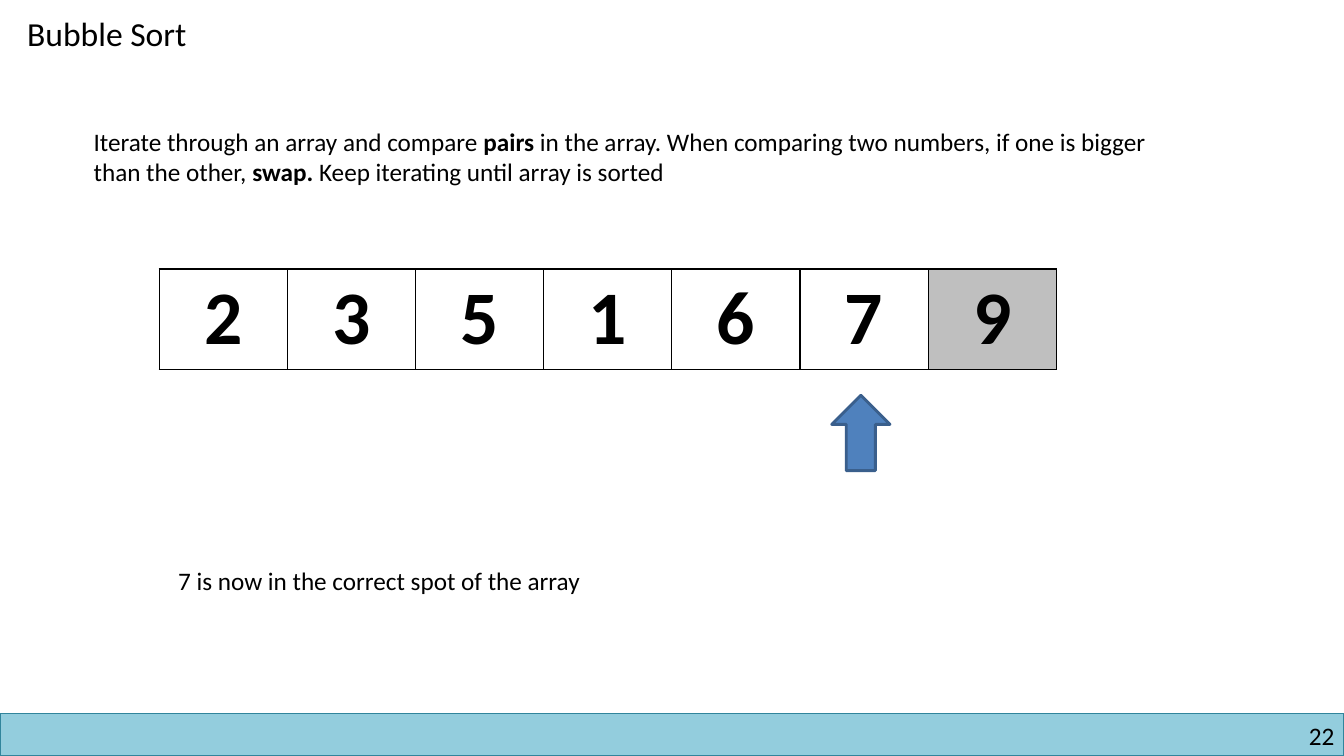
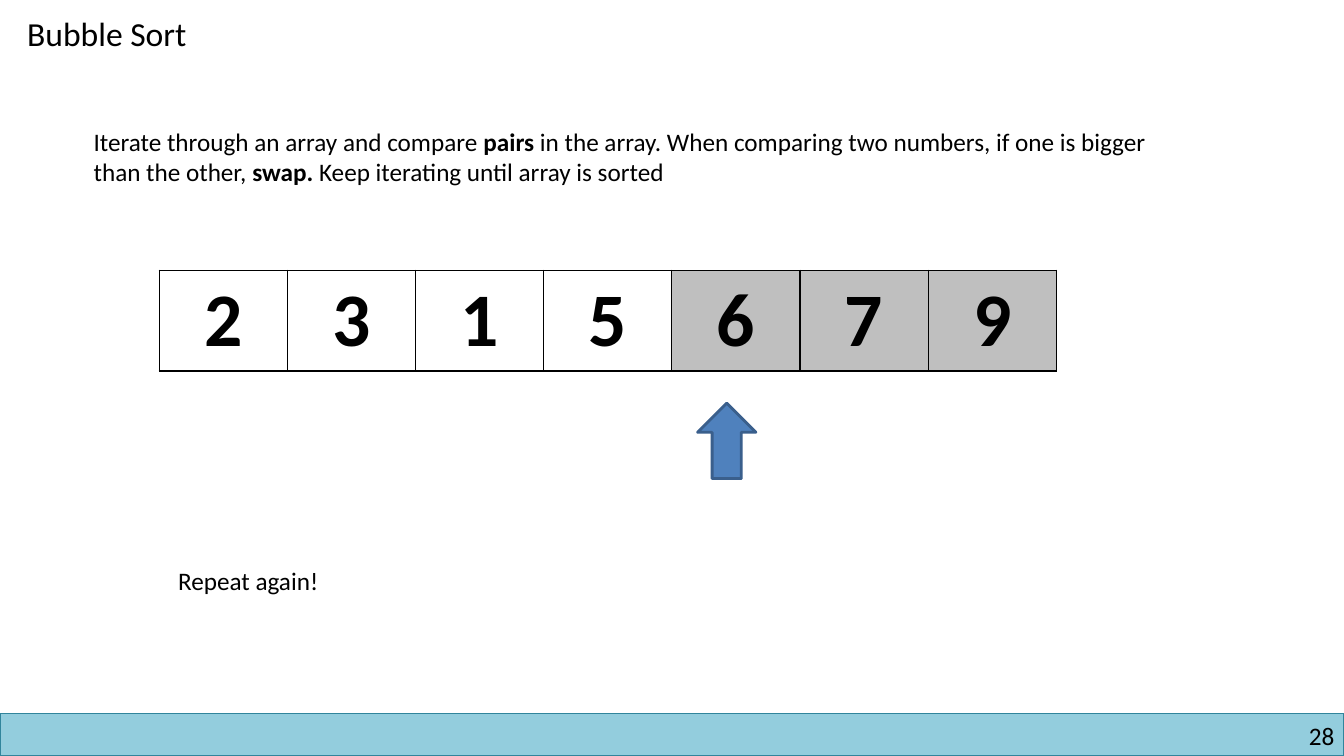
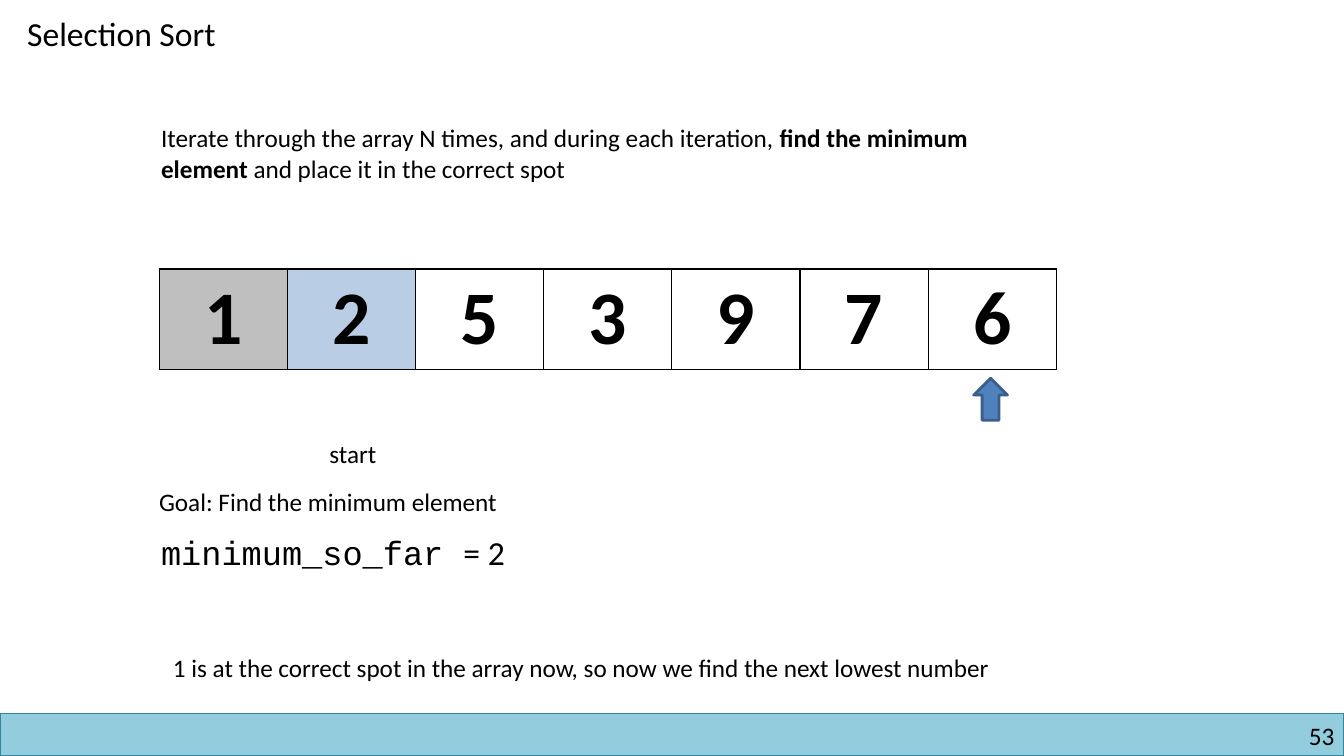
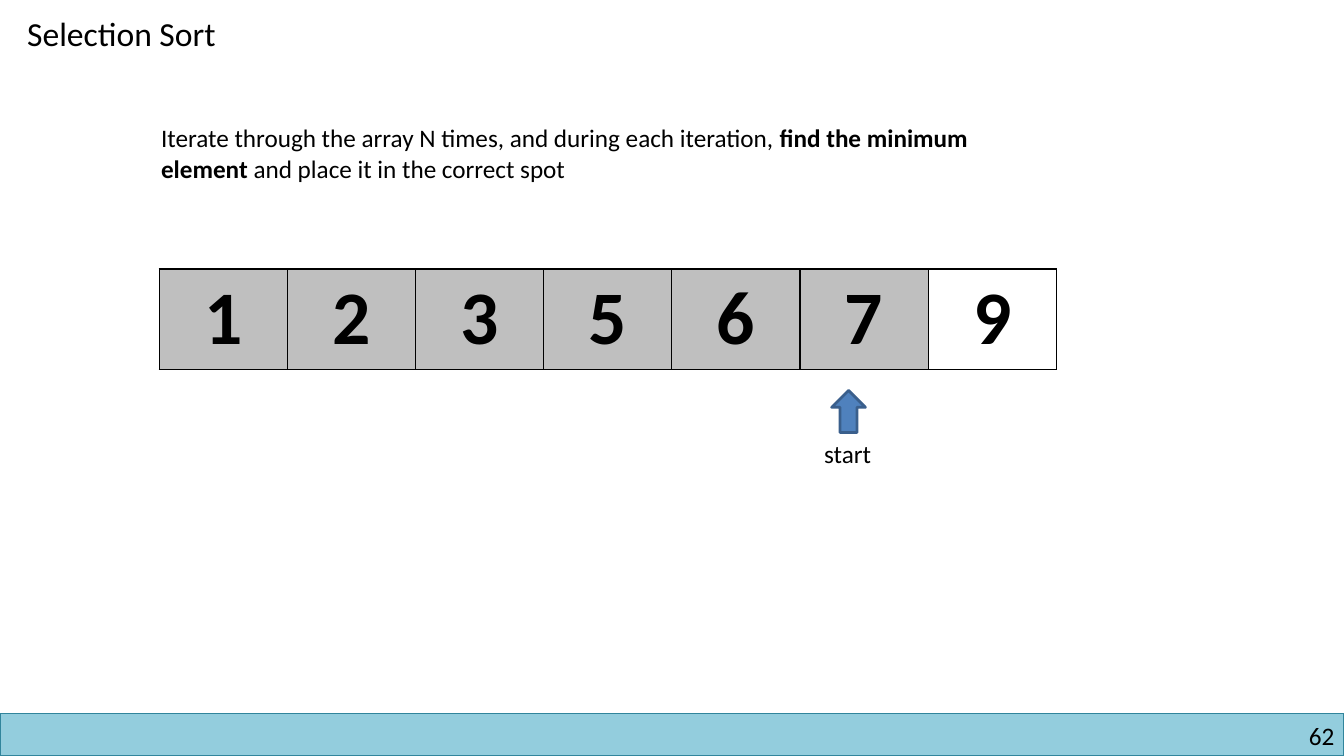
from dataclasses import dataclass

from lxml import etree
from pptx import Presentation
from pptx import util as u
from pptx.dml.color import RGBColor
from pptx.enum import shapes, text
from pptx.oxml.ns import qn


@dataclass(frozen=True)
class Theme:
    font: str = "Calibri"
    code_font: str = "Courier New"
    ink: str = "000000"
    band: str = "93CDDD"
    band_line: str = "31859C"
    arrow: str = "4F81BD"
    arrow_line: str = "3A5F8C"
    plain: str = "FFFFFF"
    done: str = "BFBFBF"
    current: str = "B9CDE5"
    body: int = 18
    title: int = 24
    digit: int = 54


THEME = Theme()
WIDTH, HEIGHT = 33.87, 19.05
BAND_TOP = 17.98
ARRAY_LEFT, CELL_WIDTH, CELL_HEIGHT = 4.01, 3.23, 2.54
BIG_ARROW, SMALL_ARROW = (1.47, 1.9), (0.85, 1.06)
BOLD = {"bold": True}


class Deck:
    """Build sorting slides in one theme, holding the slide being drawn."""

    def __init__(self, theme):
        self.theme = theme
        self.prs = Presentation()
        self.prs.slide_width, self.prs.slide_height = u.Cm(WIDTH), u.Cm(HEIGHT)
        self.s = None

    def new_slide(self, title, title_width, number):
        self.s = self.prs.slides.add_slide(self.prs.slide_layouts[5])
        self.shape(shapes.MSO_SHAPE.RECTANGLE, 0, BAND_TOP, WIDTH, HEIGHT - BAND_TOP,
                   self.theme.band, self.theme.band_line, 1)
        tf = self.label([number], 25.83, 18.16, 7.8, 0.76, wrap=True)
        tf.margin_left = tf.margin_right = tf.margin_top = tf.margin_bottom = 0
        tf.paragraphs[0].alignment = text.PP_ALIGN.RIGHT
        sp = self.s.shapes.title
        sp.left, sp.top, sp.width, sp.height = map(u.Cm, (0.43, 0.2, title_width, 1.27))
        self.fill_text(sp.text_frame, [title], self.theme.title)

    def shape(self, kind, left, top, width, height, fill, line, weight):
        sp = self.s.shapes.add_shape(kind, *map(u.Cm, (left, top, width, height)))
        sp.shadow.inherit = False
        sp.fill.solid()
        sp.fill.fore_color.rgb = RGBColor.from_string(fill)
        sp.line.color.rgb = RGBColor.from_string(line)
        sp.line.width = u.Pt(weight)

    def style(self, p, size, bold=None):
        p.font.name = self.theme.font
        p.font.size = u.Pt(size)
        p.font.color.rgb = RGBColor.from_string(self.theme.ink)
        p.font.bold = bold

    def fill_text(self, tf, parts, size, wrap=False):
        tf.word_wrap = wrap
        tf.auto_size = text.MSO_AUTO_SIZE.SHAPE_TO_FIT_TEXT
        tf.vertical_anchor = text.MSO_ANCHOR.TOP
        p = tf.paragraphs[0]
        p.alignment = text.PP_ALIGN.LEFT
        self.style(p, size)
        for part in parts:
            words, font = (part, {}) if isinstance(part, str) else part
            r = p.add_run()
            r.text = words
            r.font.bold = font.get("bold")
            r.font.name = font.get("name")

    def label(self, parts, left, top, width, height=1.02, size=None, wrap=False):
        box = self.s.shapes.add_textbox(*map(u.Cm, (left, top, width, height)))
        self.fill_text(box.text_frame, parts, size or self.theme.body, wrap)
        return box.text_frame

    def arrow(self, left, top, size):
        self.shape(shapes.MSO_SHAPE.UP_ARROW, left, top, *size,
                   self.theme.arrow, self.theme.arrow_line, 2)

    def array(self, digits, done=(), current=None, top=6.78):
        count = len(digits)
        table = self.s.shapes.add_table(
            1, count, u.Cm(ARRAY_LEFT), u.Cm(top),
            u.Cm(CELL_WIDTH * count), u.Cm(CELL_HEIGHT)).table
        table.first_row = table.horz_banding = False
        for i, digit in enumerate(digits):
            cell = table.cell(0, i)
            self.borders(cell)
            fill = self.theme.done if i in done else self.theme.plain
            cell.fill.solid()
            cell.fill.fore_color.rgb = RGBColor.from_string(
                self.theme.current if i == current else fill)
            cell.margin_top = cell.margin_bottom = u.Cm(0.1)
            p = cell.text_frame.paragraphs[0]
            p.text = digit
            p.alignment = text.PP_ALIGN.CENTER
            self.style(p, self.theme.digit, bold=True)

    def borders(self, cell):
        tc_pr = cell._tc.get_or_add_tcPr()
        for side in ("a:lnL", "a:lnR", "a:lnT", "a:lnB"):
            ln = etree.SubElement(tc_pr, qn(side), w=str(u.Pt(1)))
            fill = etree.SubElement(ln, qn("a:solidFill"))
            etree.SubElement(fill, qn("a:srgbClr"), val=self.theme.ink)

    def bubble(self, number):
        self.new_slide("Bubble Sort", 4.98, number)
        self.label(["Iterate through an array and compare ", ("pairs", BOLD),
                    " in the array. When comparing two numbers, if one is bigger than the other, ",
                    ("swap. ", BOLD), "Keep iterating until array is sorted"],
                   2.11, 3.05, 28.14, 1.8, wrap=True)

    def selection(self, number):
        self.new_slide("Selection Sort", 5.84, number)
        self.label(["Iterate through the array N times, and during each iteration, ",
                    ("find the minimum element", BOLD),
                    " and place it in the correct spot"],
                   3.81, 2.97, 22.43, 1.8, wrap=True)

    def start(self, left):
        self.label(["start"], left, 10.92, 1.75)


def main():
    deck = Deck(THEME)

    deck.bubble("22")
    deck.array("2351679", done=[6])
    deck.arrow(20.96, 9.96, BIG_ARROW)
    deck.label(["7 is now in the correct spot of the array"], 4.24, 14.12, 11.56)

    deck.bubble("28")
    deck.array("2315679", done=range(4, 7), top=6.81)
    deck.arrow(17.58, 10.16, BIG_ARROW)
    deck.label(["Repeat again!"], 4.24, 14.12, 4.5)

    deck.selection("53")
    deck.array("1253976", done=[0], current=1)
    deck.label(["Goal: Find the minimum element"], 3.76, 12.12, 10.13)
    deck.arrow(24.54, 9.53, SMALL_ARROW)
    deck.start(8.05)
    deck.label([("minimum_so_far ", {"name": THEME.code_font}), "= 2"],
               3.81, 13.28, 9.4, 1.27, THEME.title)
    deck.label(["1 is at the correct spot in the array now, so now we find the next lowest number"],
               4.11, 16.31, 22.73)

    deck.selection("62")
    deck.array("1235679", done=range(6))
    deck.arrow(20.96, 9.84, SMALL_ARROW)
    deck.start(20.52)

    deck.prs.save("out.pptx")


if __name__ == "__main__":
    main()
